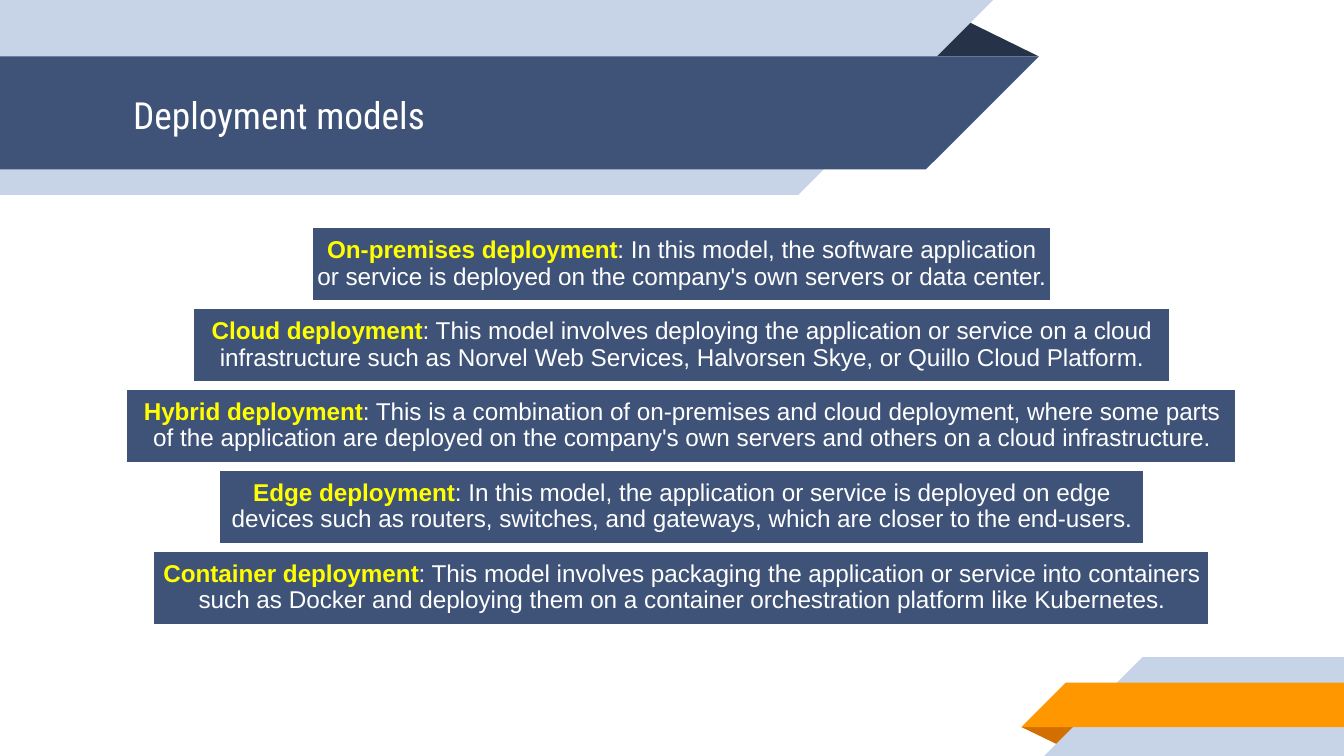
from typing import NamedTuple

from pptx import Presentation
from pptx.dml.color import RGBColor
from pptx.enum.shapes import MSO_SHAPE
from pptx.enum.text import MSO_ANCHOR, MSO_AUTO_SIZE, PP_ALIGN
from pptx.slide import Slide
from pptx.util import Inches, Pt

WHITE = RGBColor(0xFF, 0xFF, 0xFF)
YELLOW = RGBColor(0xFF, 0xFF, 0x00)
PALE = RGBColor(0xC7, 0xD3, 0xE6)
NAVY = RGBColor(0x3F, 0x53, 0x78)
DARK = RGBColor(0x26, 0x32, 0x48)
ORANGE = RGBColor(0xFF, 0x98, 0x00)
RUST = RGBColor(0xD2, 0x6F, 0x00)

WIDTH = 10
HEIGHT = WIDTH * 9 / 16
CENTER = 5.07
TOP, LAST, TALL = 1.68, 4.09, 0.57


class Ribbon(NamedTuple):
    color: RGBColor
    points: list[tuple[float, float]]


class Model(NamedTuple):
    name: str
    text: str
    width: float


RIBBONS = [
    Ribbon(DARK, [(6.88, 0.42), (7.16, 0.14), (7.73, 0.42)]),
    Ribbon(PALE, [(0, 0), (7.39, 0), (5.94, 1.45), (0, 1.45)]),
    Ribbon(NAVY, [(0, 0.42), (7.73, 0.42), (6.89, 1.26), (0, 1.26)]),
    Ribbon(RUST, [(7.6, 5.41), (8.03, 5.41), (7.89, 5.55)]),
    Ribbon(PALE, [(8.5, 4.89), (WIDTH, 4.89), (WIDTH, HEIGHT), (7.77, HEIGHT)]),
    Ribbon(ORANGE, [(7.93, 5.08), (WIDTH, 5.08), (WIDTH, 5.41), (7.6, 5.41)]),
]

MODELS = [
    Model("On-premises deployment",
          ": In this model, the software application or service is deployed "
          "on the company's own servers or data center.", 5.51),
    Model("Cloud deployment",
          ": This model involves deploying the application or service on a cloud "
          "infrastructure such as Norvel Web Services, Halvorsen Skye, "
          "or Quillo Cloud Platform.", 7.28),
    Model("Hybrid deployment",
          ": This is a combination of on-premises and cloud deployment, where "
          "some parts of the application are deployed on the company's own "
          "servers and others on a cloud infrastructure.", 8.27),
    Model("Edge deployment",
          ": In this model, the application or service is deployed on edge "
          "devices such as routers, switches, and gateways, which are closer "
          "to the end-users.", 6.89),
    Model("Container deployment",
          ": This model involves packaging the application or service into "
          "containers such as Docker and deploying them on a container "
          "orchestration platform like Kubernetes.", 7.87),
]


def draw_ribbon(slide: Slide, ribbon: Ribbon) -> None:
    start, *rest = [(Inches(x), Inches(y)) for x, y in ribbon.points]
    pen = slide.shapes.build_freeform(*start)
    pen.add_line_segments(rest, close=True)
    shape = pen.convert_to_shape()
    shape.shadow.inherit = False
    shape.fill.solid()
    shape.fill.fore_color.rgb = ribbon.color
    shape.line.fill.background()


def draw_title(slide: Slide, text: str) -> None:
    title = slide.shapes.title
    title.left, title.top = Inches(0.89), Inches(0.43)
    title.width, title.height = Inches(5.75), Inches(0.84)
    title.element.getparent().append(title.element)
    frame = title.text_frame
    frame.text = text
    frame.auto_size = MSO_AUTO_SIZE.NONE
    frame.vertical_anchor = MSO_ANCHOR.MIDDLE
    frame.margin_left = frame.margin_right = Inches(0.1)
    frame.margin_top = frame.margin_bottom = Inches(0.1)
    line = frame.paragraphs[0]
    line.alignment = PP_ALIGN.LEFT
    line.font.name = "Roboto Condensed"
    line.font.size = Pt(20)
    line.font.color.rgb = WHITE


def draw_model(slide: Slide, model: Model, top: float) -> None:
    bar = slide.shapes.add_shape(
        MSO_SHAPE.RECTANGLE, Inches(CENTER - model.width / 2), Inches(top),
        Inches(model.width), Inches(TALL))
    bar.shadow.inherit = False
    bar.fill.solid()
    bar.fill.fore_color.rgb = NAVY
    bar.line.color.rgb = WHITE
    bar.line.width = Pt(2)
    frame = bar.text_frame
    frame.word_wrap = True
    frame.vertical_anchor = MSO_ANCHOR.MIDDLE
    frame.margin_left = frame.margin_right = Inches(0.04)
    frame.margin_top = frame.margin_bottom = Inches(0.04)
    line = frame.paragraphs[0]
    line.alignment = PP_ALIGN.CENTER
    line.line_spacing = 0.9
    line.font.name = "Arial"
    line.font.size = Pt(13)
    for text, color, bold in ((model.name, YELLOW, True),
                              (model.text, WHITE, False)):
        run = line.add_run()
        run.text = text
        run.font.bold = bold
        run.font.color.rgb = color


def main() -> None:
    deck = Presentation()
    deck.slide_width, deck.slide_height = Inches(WIDTH), Inches(HEIGHT)
    slide = deck.slides.add_slide(deck.slide_layouts[5])
    for ribbon in RIBBONS:
        draw_ribbon(slide, ribbon)
    draw_title(slide, "Deployment models")
    step = (LAST - TOP) / (len(MODELS) - 1)
    for row, model in enumerate(MODELS):
        draw_model(slide, model, TOP + row * step)
    deck.save("out.pptx")


if __name__ == "__main__":
    main()
